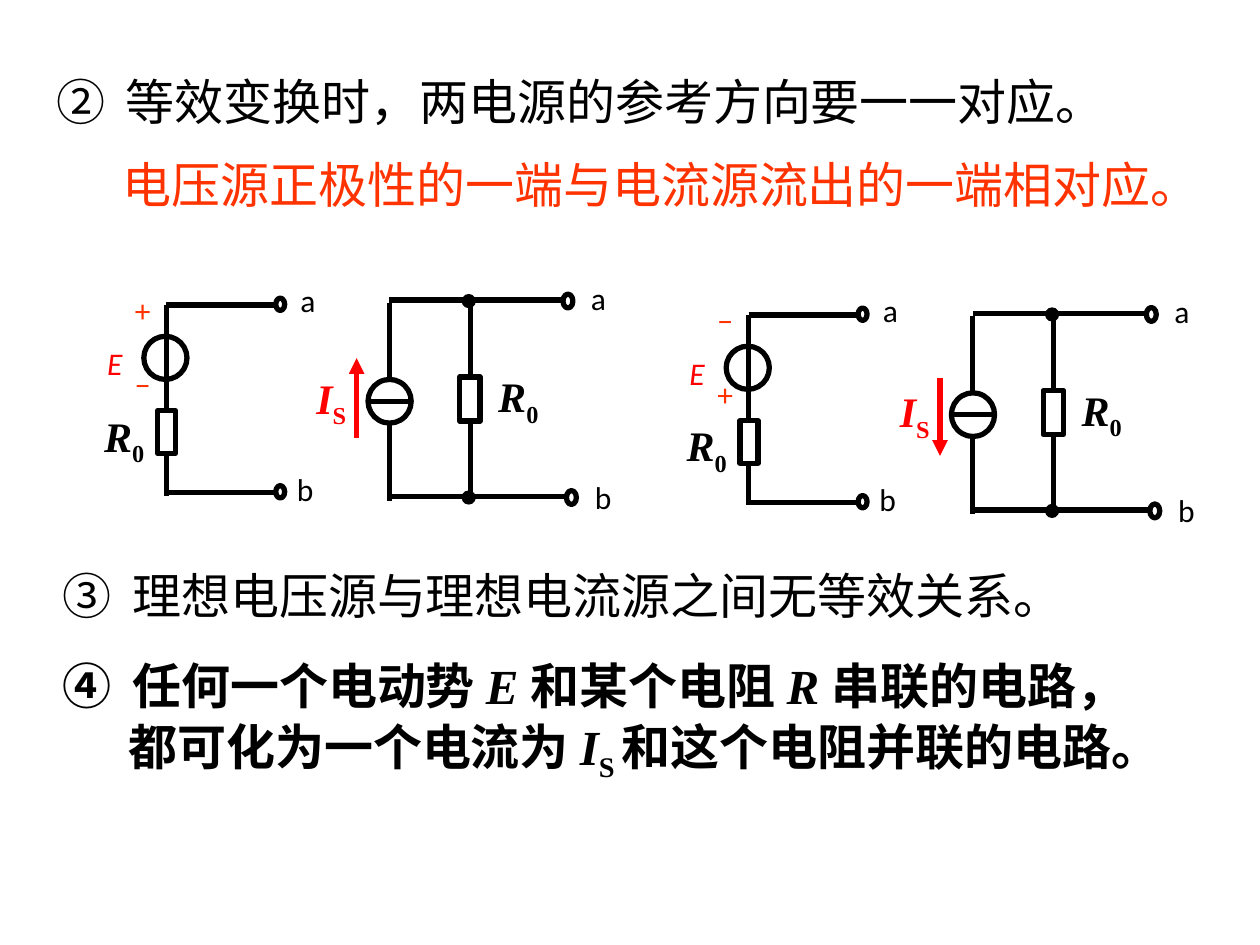
from dataclasses import dataclass, replace

from lxml import etree
from pptx import Presentation
from pptx import util as u
from pptx.dml.color import RGBColor
from pptx.enum import shapes, text
from pptx.oxml.ns import qn

COLORS = {"ink": "000000", "accent": "FF3300", "signal": "FF0000"}
CALIBRI = "Calibri"
TIMES = "Times New Roman"
LABEL_HEIGHT = 1.27


@dataclass(frozen=True)
class Style:
    size: int
    font: str = CALIBRI
    color: str = "ink"
    bold: bool = False
    italic: bool = False
    baseline: int = 0


@dataclass(frozen=True)
class Run:
    words: str
    style: Style


@dataclass(frozen=True)
class Line:
    runs: tuple[Run, ...]
    left: float = 0
    hanging: float = 0
    before: float = 0


@dataclass(frozen=True)
class Box:
    x: float
    y: float
    width: float
    height: float


@dataclass(frozen=True)
class Circuit:
    voltage_x: float
    voltage_y: float
    current_x: float
    current_y: float
    polarity: tuple[str, str]
    arrow: tuple[float, float]


CIRCUITS = (
    Circuit(3.35, 6.15, 7.85, 6.05, ("+", "−"), (2.77, 1.17)),
    Circuit(15.09, 6.35, 19.61, 6.32, ("−", "+"), (1.3, 2.87)),
)

BODY = Style(28)
STRONG = Style(28, TIMES, bold=True)
STRONG_ITALIC = replace(STRONG, italic=True)
TERMINAL = Style(18)
POLARITY = Style(18, color="accent")
EMF = Style(18, color="signal", italic=True)
SYMBOL = Style(24, TIMES, bold=True, italic=True)


def rgb(name: str) -> RGBColor:
    return RGBColor.from_string(COLORS[name])


def add_runs(paragraph, runs: tuple[Run, ...]) -> None:
    for item in runs:
        run = paragraph.add_run()
        run.text = item.words
        style, font = item.style, run.font
        font.size = u.Pt(style.size)
        font.name = style.font
        font.bold = style.bold
        font.italic = style.italic
        font.color.rgb = rgb(style.color)
        if style.baseline:
            run._r.get_or_add_rPr().set("baseline", str(style.baseline * 1000))


def add_text(parent, box: Box, lines: tuple[Line, ...], wrap: bool = True,
             centered: bool = False):
    frame = parent.add_textbox(
        u.Cm(box.x), u.Cm(box.y), u.Cm(box.width), u.Cm(box.height)).text_frame
    frame.word_wrap = wrap
    frame.auto_size = text.MSO_AUTO_SIZE.SHAPE_TO_FIT_TEXT
    if centered:
        frame.vertical_anchor = text.MSO_ANCHOR.MIDDLE
    for index, line in enumerate(lines):
        paragraph = frame.add_paragraph() if index else frame.paragraphs[0]
        paragraph.alignment = text.PP_ALIGN.CENTER if centered else text.PP_ALIGN.LEFT
        if line.left:
            properties = paragraph._p.get_or_add_pPr()
            properties.set("marL", str(u.Cm(line.left)))
            properties.set("indent", str(u.Cm(-line.hanging)))
        if line.before:
            paragraph.space_before = u.Pt(line.before)
        add_runs(paragraph, line.runs)


@dataclass(frozen=True)
class Part:
    group: object
    x: float
    y: float

    def label(self, x: float, y: float, width: float, *runs: Run,
              wrap: bool = False, centered: bool = True) -> None:
        add_text(self.group, Box(self.x + x, self.y + y, width, LABEL_HEIGHT),
                 (Line(runs),), wrap, centered)

    def symbol(self, x: float, y: float, width: float, name: str, index: str,
               color: str = "ink") -> None:
        style = replace(SYMBOL, color=color)
        self.label(x, y, width, Run(name, style),
                   Run(index, replace(style, italic=False, baseline=-25)))

    def wire(self, x1: float, y1: float, x2: float, y2: float,
             color: str = "ink", arrow: bool = False) -> None:
        wire = self.group.add_connector(
            shapes.MSO_CONNECTOR.STRAIGHT, u.Cm(self.x + x1), u.Cm(self.y + y1),
            u.Cm(self.x + x2), u.Cm(self.y + y2))
        wire.line.color.rgb = rgb(color)
        wire.line.width = u.Pt(3)
        if arrow:
            etree.SubElement(wire.line._get_or_add_ln(), qn("a:tailEnd"), type="triangle")
        etree.SubElement(wire._element.spPr, qn("a:effectLst"))

    def outline(self, kind, x: float, y: float, width: float, height: float,
                solid: bool = False) -> None:
        shape = self.group.add_shape(
            kind, u.Cm(self.x + x), u.Cm(self.y + y), u.Cm(width), u.Cm(height))
        shape.shadow.inherit = False
        if solid:
            shape.fill.solid()
            shape.fill.fore_color.rgb = rgb("ink")
        else:
            shape.fill.background()
        shape.line.color.rgb = rgb("ink")
        shape.line.width = u.Pt(0.75 if solid else 3)

    def circle(self, x: float, y: float, width: float, height: float,
               solid: bool = False) -> None:
        self.outline(shapes.MSO_SHAPE.OVAL, x, y, width, height, solid)

    def resistor(self, x: float, y: float, width: float, height: float) -> None:
        self.outline(shapes.MSO_SHAPE.RECTANGLE, x, y, width, height)


def draw_voltage_source(part: Part, polarity: tuple[str, str]) -> None:
    part.symbol(-1.52, 2.06, 1.35, "R", "0")
    part.label(-1.57, 0.53, 1.07, Run("E", EMF))
    part.circle(-0.45, 0.63, 0.87, 0.87)
    part.wire(0, 0, 0, 2.13)
    part.resistor(-0.17, 2.13, 0.36, 0.86)
    part.wire(0, 3, 0, 3.84)
    for y in (0, 3.78):
        part.wire(0, y, 2.21, y)
        part.circle(2.21, y - 0.14, 0.18, 0.25)
    part.label(2.39, -0.74, 0.94, Run("a", TERMINAL))
    part.label(2.31, 3.07, 0.99, Run("b", TERMINAL))
    for y, sign in zip((-0.4, 1.09), polarity):
        part.label(-0.88, y, 0.84, Run(sign, POLARITY), wrap=True, centered=False)


def draw_current_source(part: Part, arrow: tuple[float, float]) -> None:
    part.symbol(-2.12, 1.4, 1.9, "I", "S", "signal")
    part.circle(-0.43, 1.6, 0.87, 0.88)
    part.wire(-0.43, 2.04, 0.43, 2.04)
    part.wire(0, 0.05, 0, 1.6)
    part.wire(0, 2.49, 0, 4.04)
    part.resistor(1.42, 1.55, 0.41, 0.89)
    part.wire(1.63, 0, 1.63, 1.55)
    part.wire(1.63, 2.44, 1.63, 3.96)
    part.symbol(1.75, 1.37, 1.7, "R", "0")
    for y, end in ((0, 3.5), (3.96, 3.57)):
        part.wire(0, y, end, y)
        part.circle(end, y - 0.12, 0.2, 0.28)
        part.circle(1.47, y - 0.11, 0.26, 0.26, solid=True)
    start, tip = arrow
    part.wire(-0.66, start, -0.66, tip, "signal", arrow=True)
    part.label(3.62, -0.68, 1.19, Run("a", TERMINAL), wrap=True)
    part.label(3.8, 3.33, 1.02, Run("b", TERMINAL), wrap=True)


def main() -> None:
    deck = Presentation()
    deck.slide_width, deck.slide_height = u.Cm(25.4), u.Cm(19.05)
    canvas = deck.slides.add_slide(deck.slide_layouts[6]).shapes

    add_text(canvas, Box(0.89, 1.32, 24.05, 3.23), (
        Line((Run("②\t等效变换时，两电源的参考方向要一一对应。", BODY),), 1.4, 1.4),
        Line((Run("电压源正极性的一端与电流源流出的一端相对应。",
                  replace(BODY, color="accent")),), 1.34, before=14),
    ))
    add_text(canvas, Box(1.02, 11.28, 21.16, 1.45), (
        Line((Run("③\t理想电压源与理想电流源之间无等效关系。", BODY),), 1.4, 1.4),
    ))
    add_text(canvas, Box(1.02, 13.08, 23.29, 2.69), (
        Line((Run("④\t任何一个电动势 ", STRONG), Run("E ", STRONG_ITALIC),
              Run("和某个电阻 ", STRONG), Run("R ", STRONG_ITALIC),
              Run("串联的电路，", STRONG)), 1.4, 1.4),
        Line((Run("都可化为一个电流为 ", STRONG), Run("I", STRONG_ITALIC),
              Run("S ", replace(STRONG, baseline=-25)),
              Run("和这个电阻并联的电路。", STRONG)), 1.32, before=1.4),
    ))

    for circuit in CIRCUITS:
        group = canvas.add_group_shape().shapes
        draw_voltage_source(Part(group, circuit.voltage_x, circuit.voltage_y),
                            circuit.polarity)
        draw_current_source(Part(group, circuit.current_x, circuit.current_y),
                            circuit.arrow)

    deck.save("out.pptx")


if __name__ == "__main__":
    main()
